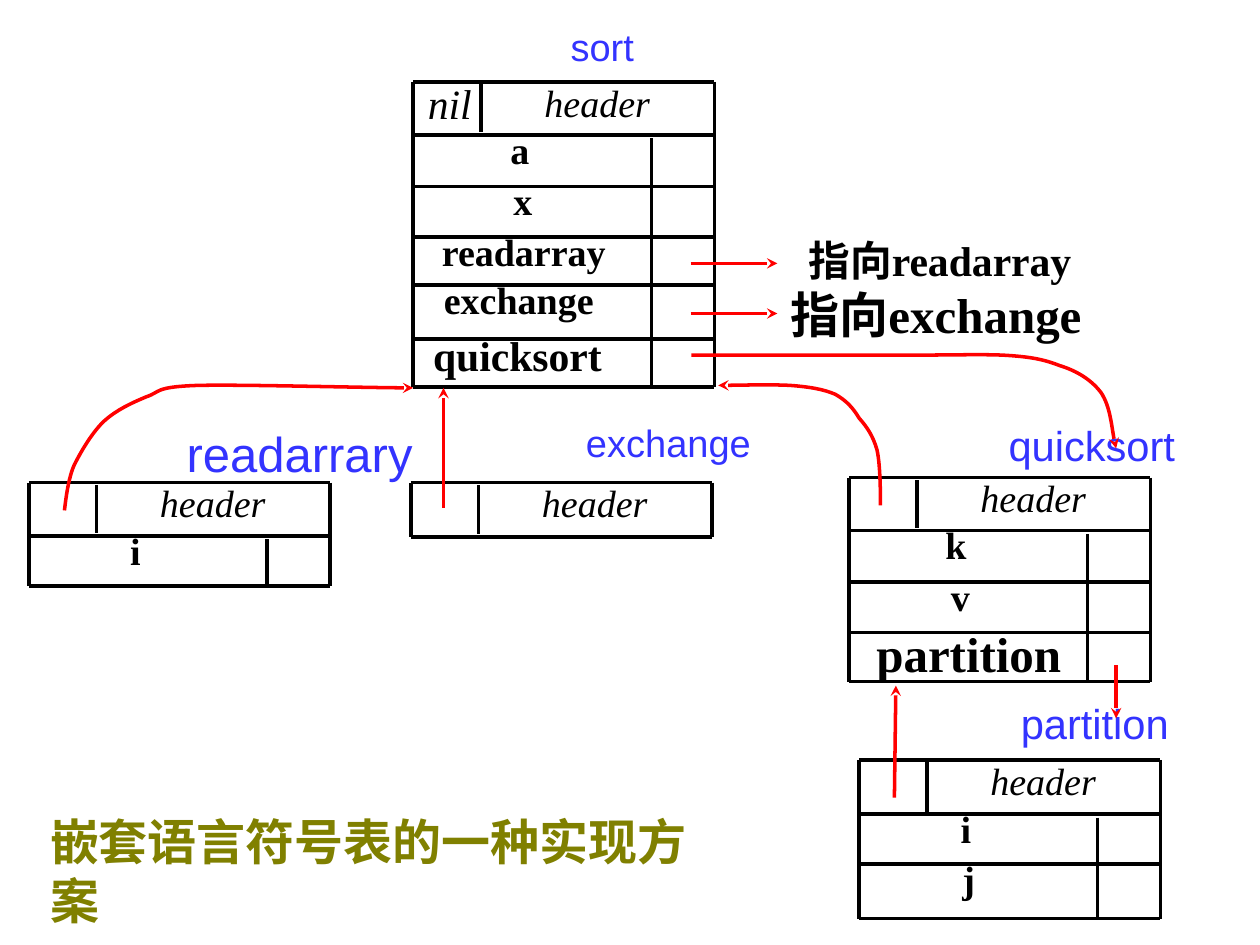
from lxml.etree import SubElement
from pptx import Presentation
from pptx.dml.color import RGBColor
from pptx.enum.shapes import MSO_CONNECTOR
from pptx.enum.text import PP_ALIGN
from pptx.oxml.ns import qn
from pptx.util import Cm, Pt

BLACK = RGBColor(0x00, 0x00, 0x00)
RED = RGBColor(0xFF, 0x00, 0x00)
BLUE = RGBColor(0x33, 0x33, 0xFF)
OLIVE = RGBColor(0x80, 0x80, 0x00)

# All positions are in centimetres.
TABLE_WIDTH = 6.07
PARENT_WIDTH = 1.37   # cell left of "header"
NAME_WIDTH = 4.8      # cells left of the pointer column
BOX_WIDTH, BOX_HEIGHT = 4.7, 1.26

ENTRY = {"name": "Times New Roman", "size": Pt(21.7), "bold": True}
ENTRY_MEDIUM = {**ENTRY, "size": Pt(23.8)}
ENTRY_LARGE = {**ENTRY, "size": Pt(28)}
HEADER = {"name": "Times New Roman", "size": Pt(21.7), "italic": True}
NIL = {**HEADER, "size": Pt(23.8)}
CAPTION = {"name": "Arial", "size": Pt(21.7)}
CAPTION_MEDIUM = {**CAPTION, "size": Pt(23.8)}
CAPTION_LARGE = {**CAPTION, "size": Pt(28)}
TITLE = {**CAPTION_LARGE, "bold": True}

# left, y of every horizontal rule, entries (name, centre from left, format)
SYMBOL_TABLES = [
    (8.33, [1.65, 2.72, 3.76, 4.78, 5.74, 6.83, 7.8],
     [("a", 2.15, ENTRY), ("x", 2.21, ENTRY), ("readarray", 2.23, ENTRY),
      ("exchange", 2.13, ENTRY), ("quicksort", 2.1, ENTRY_MEDIUM)]),
    (0.58, [9.73, 10.8, 11.81], [("i", 2.15, ENTRY)]),
    (8.28, [9.73, 10.82], []),
    (17.12, [9.63, 10.69, 11.73, 12.75, 13.74],
     [("k", 2.15, ENTRY), ("v", 2.24, ENTRY), ("partition", 2.41, ENTRY_LARGE)]),
    (17.32, [15.32, 16.41, 17.42, 18.52],
     [("i", 2.15, ENTRY), ("j", 2.21, ENTRY)]),
]

# text, left, top, width, format, colour, line spacing
LABELS = [
    ("sort", 9.98, 0.53, 4.32, CAPTION, BLUE, 0.8),
    ("readarrary", 3.4, 8.41, 5.28, CAPTION_LARGE, BLUE, 1.0),
    ("exchange", 10.67, 8.51, 5.61, CAPTION, BLUE, 0.8),
    ("quicksort", 19.51, 8.46, 5.0, CAPTION_MEDIUM, BLUE, 0.9),
    ("partition", 19.91, 14.05, 4.32, CAPTION_MEDIUM, BLUE, 0.9),
    ("nil", 8.23, 1.45, 1.68, NIL, BLACK, 1.0),
    ("指向readarray", 15.19, 4.6, 7.52, ENTRY_MEDIUM, BLACK, 1.0),
    ("指向exchange", 15.24, 5.61, 7.26, ENTRY_LARGE, BLACK, 1.0),
]

ARROWS = [
    (8.94, 10.24, 8.94, 7.82),
    (22.5, 13.41, 22.5, 14.48),
    (13.92, 6.32, 15.67, 6.32),
    (13.92, 5.31, 15.67, 5.31),
    (18.03, 16.08, 18.06, 13.82),
]

# start point, then two control points and an end point for each piece
CURVED_ARROWS = [
    [(1.3, 10.29),
     (1.32, 10.13), (1.37, 9.65), (1.5, 9.37),
     (1.65, 9.07), (1.88, 8.69), (2.11, 8.48),
     (2.36, 8.26), (2.64, 8.13), (2.95, 8.0),
     (3.25, 7.9), (3.1, 7.8), (3.99, 7.77),
     (4.9, 7.75), (7.42, 7.82), (8.33, 7.82)],
    [(17.75, 10.19),
     (17.75, 10.01), (17.75, 9.37), (17.68, 9.07),
     (17.6, 8.79), (17.48, 8.61), (17.32, 8.43),
     (17.2, 8.23), (17.07, 8.08), (16.84, 7.95),
     (16.61, 7.85), (16.33, 7.8), (15.93, 7.77),
     (15.54, 7.75), (14.78, 7.77), (14.48, 7.77)],
    [(13.94, 7.16),
     (14.66, 7.16), (17.17, 7.16), (18.21, 7.16),
     (19.28, 7.16), (19.71, 7.14), (20.22, 7.16),
     (20.75, 7.19), (21.03, 7.24), (21.36, 7.37),
     (21.69, 7.47), (22.0, 7.65), (22.2, 7.92),
     (22.38, 8.2), (22.43, 8.79), (22.5, 9.04)],
]


def style_line(shape, color, arrow):
    shape.line.color.rgb = color
    shape.line.width = Pt(2)
    if arrow:
        outline = shape._element.spPr.find(qn("a:ln"))
        SubElement(outline, qn("a:tailEnd"), type="stealth")


def add_line(slide, x1, y1, x2, y2, color=BLACK, arrow=False):
    connector = slide.shapes.add_connector(
        MSO_CONNECTOR.STRAIGHT, Cm(x1), Cm(y1), Cm(x2), Cm(y2))
    style_line(connector, color, arrow)
    SubElement(connector._element.spPr, qn("a:effectLst"))


def add_curved_arrow(slide, points):
    """Build an outline through all points, then group them into Bézier pieces."""
    start, *others = [(Cm(x), Cm(y)) for x, y in points]
    builder = slide.shapes.build_freeform(*start)
    builder.add_line_segments(others, close=False)
    shape = builder.convert_to_shape()
    shape.fill.background()
    shape.shadow.inherit = False
    style_line(shape, RED, True)
    outline = shape._element.find(".//" + qn("a:path"))
    segments = outline.findall(qn("a:lnTo"))
    for first in range(0, len(segments), 3):
        curve = SubElement(outline, qn("a:cubicBezTo"))
        for segment in segments[first:first + 3]:
            curve.append(segment[0])
            outline.remove(segment)


def add_text(slide, text, left, top, width, font_format, color=BLACK,
             spacing=1.0, alignment=PP_ALIGN.CENTER, wrap=True):
    box = slide.shapes.add_textbox(Cm(left), Cm(top), Cm(width), Cm(BOX_HEIGHT))
    box.text_frame.word_wrap = wrap
    paragraph = box.text_frame.paragraphs[0]
    paragraph.alignment = alignment
    paragraph.line_spacing = spacing
    run = paragraph.add_run()
    run.text = text
    for attribute, value in font_format.items():
        setattr(run.font, attribute, value)
    run.font.color.rgb = color


def add_symbol_table(slide, left, rules, entries):
    right, top, bottom = left + TABLE_WIDTH, rules[0], rules[-1]
    for y in rules:
        add_line(slide, left, y, right, y)
    for x in (left, right):
        add_line(slide, x, top, x, bottom)
    parent_x, pointer_x = left + PARENT_WIDTH, left + NAME_WIDTH
    add_line(slide, parent_x, top + 0.05, parent_x, rules[1] - 0.05)
    if entries:
        add_line(slide, pointer_x, rules[1] + 0.07, pointer_x, bottom)
    add_text(slide, "header", left + 1.83, top - 0.18, 3.76, HEADER)
    for (name, center, font_format), y in zip(entries, rules[1:]):
        add_text(slide, name, left + center - BOX_WIDTH / 2, y - 0.3,
                 BOX_WIDTH, font_format)


def main():
    presentation = Presentation()
    presentation.slide_width, presentation.slide_height = Cm(25.4), Cm(19.05)
    slide = presentation.slides.add_slide(presentation.slide_layouts[6])
    for table in SYMBOL_TABLES:
        add_symbol_table(slide, *table)
    for label in LABELS:
        add_text(slide, *label)
    for arrow in ARROWS:
        add_line(slide, *arrow, color=RED, arrow=True)
    for points in CURVED_ARROWS:
        add_curved_arrow(slide, points)
    add_text(slide, "嵌套语言符号表的一种实现方案", 0.76, 16.23, 14.3, TITLE, OLIVE,
             alignment=PP_ALIGN.LEFT, wrap=False)
    presentation.save("out.pptx")


if __name__ == "__main__":
    main()
